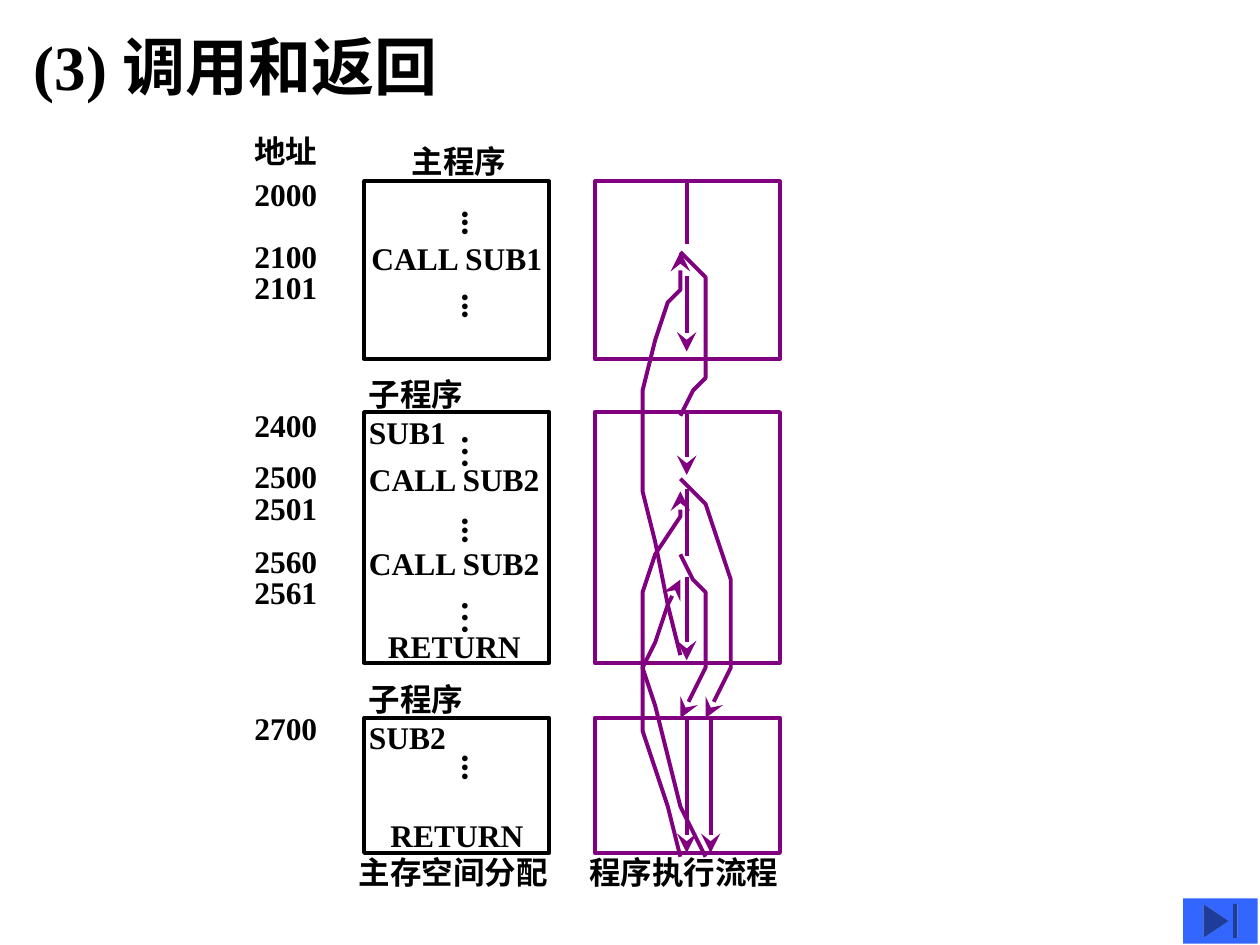
from dataclasses import dataclass

from lxml import etree
from pptx import Presentation
from pptx import util as u
from pptx.dml.color import RGBColor
from pptx.enum import shapes, text
from pptx.oxml.ns import qn


@dataclass(frozen=True)
class Theme:
    """Colours, font and type sizes of the slide."""
    ink: str = "000000"
    flow: str = "800080"
    button: str = "3366FF"
    font: str = "Times New Roman"
    title: int = 36
    body: int = 18
    dots: int = 20
    stroke: float = 2.25


class Diagram:
    """Draws on one slide, with lengths in cells of a 100 by 75 grid."""

    def __init__(self, prs, theme):
        self.theme = theme
        self.cell = prs.slide_width / 100
        self.s = prs.slides.add_slide(prs.slide_layouts[6])

    def at(self, *cells):
        return [u.Emu(round(c * self.cell)) for c in cells]

    def label(self, words, x, y, w, h=4, size=None, vertical=False, wrap=False, right=1):
        tf = self.s.shapes.add_textbox(*self.at(x, y, w, h)).text_frame
        tf.word_wrap = wrap
        tf.auto_size = text.MSO_AUTO_SIZE.NONE
        tf.margin_right = self.at(right)[0]
        if vertical:
            tf._txBody.find(qn("a:bodyPr")).set("vert", "eaVert")
        tf.text = words
        font = tf.paragraphs[0].runs[0].font
        font.name, font.bold = self.theme.font, True
        font.size = u.Pt(size or self.theme.body)
        font.color.rgb = RGBColor.from_string(self.theme.ink)

    def outline(self, sp, color, arrow=False):
        sp.line.color.rgb = RGBColor.from_string(color)
        sp.line.width = u.Pt(self.theme.stroke)
        if arrow:
            ln = sp.line._get_or_add_ln()
            etree.SubElement(ln, qn("a:tailEnd"), type="stealth", w="lg", len="lg")

    def box(self, x, y, w, h, color):
        sp = self.s.shapes.add_shape(shapes.MSO_SHAPE.RECTANGLE, *self.at(x, y, w, h))
        sp.shadow.inherit = False
        sp.fill.background()
        self.outline(sp, color)

    def stem(self, x, top, bottom, arrow=True):
        sp = self.s.shapes.add_connector(
            shapes.MSO_CONNECTOR.STRAIGHT, *self.at(x, top, x, bottom))
        self.outline(sp, self.theme.flow, arrow)
        etree.SubElement(sp._element.spPr, qn("a:effectLst"))

    def curve(self, points, arrow=True):
        start, *rest = points
        builder = self.s.shapes.build_freeform(*start, scale=self.cell)
        builder.add_line_segments(rest, close=False)
        sp = builder.convert_to_shape()
        sp.shadow.inherit = False
        sp.fill.background()
        self.outline(sp, self.theme.flow, arrow)

    def end_button(self, x, y, w, h):
        sp = self.s.shapes.add_shape(
            shapes.MSO_SHAPE.ACTION_BUTTON_END, *self.at(x, y, w, h))
        sp.shadow.inherit = False
        sp.fill.solid()
        sp.fill.fore_color.rgb = RGBColor.from_string(self.theme.button)
        sp.line.fill.background()


MAIN_X, SECOND_X = 54.5, 56.4
BLOCKS = [(14.4, 14.1), (32.7, 19.9), (57, 10.7)]
STEMS = [
    (MAIN_X, 14.4, 19.4, False), (MAIN_X, 21.9, 27.9, True),
    (MAIN_X, 32.7, 37.7, True), (MAIN_X, 38.8, 44.1, False),
    (MAIN_X, 45.8, 52.4, True), (MAIN_X, 57, 67.7, True),
    (SECOND_X, 57, 67.7, True),
]
CALL_SUB1 = [
    (54.5, 19.5), (55, 20.7), (55.6, 22.5), (56.2, 24.5), (56.4, 26.3),
    (56.3, 27.9), (55.8, 29.5), (55.2, 31.1), (54.5, 32.7)]
CALLS_SUB2 = [
    [(54.5, 37.7), (55.8, 40.4), (56.9, 43.1), (57.8, 45.7), (58.2, 48.1),
     (58.2, 50.3), (57.7, 52.6), (57.1, 54.7), (56.4, 57)],
    [(54.5, 44.1), (55.2, 45.5), (55.8, 46.9), (56.3, 48.3), (56.4, 49.9),
     (56.2, 51.4), (55.8, 53.2), (55.2, 54.9), (54.5, 57)],
]
RETURNS = [
    [(56.4, 67.7), (54.5, 63.8), (52.7, 60), (51.5, 56.2), (50.9, 53.3),
     (50.8, 50.8), (51.3, 47.4), (52.2, 44.2), (53.5, 41), (54.5, 38.8)],
    [(54.5, 67.7), (53.1, 64.5), (51.8, 61.4), (50.9, 58.4), (50.6, 55.5),
     (50.9, 53), (51.7, 50.7), (52.8, 48.5), (54.5, 45.8)],
    [(54.5, 52.4), (53.1, 47.9), (51.8, 43.3), (50.9, 38.9), (50.6, 34.8),
     (50.7, 32.8), (51, 30.9), (52.1, 27.1), (53, 24.5), (53.6, 22.9),
     (54.5, 20.5)],
]
ADDRESSES = {
    "地址": 10, "2000": 13.4, "2100": 18.3, "2101": 20.8, "2400": 31.7,
    "2500": 35.8, "2501": 38.3, "2560": 42.5, "2561": 45, "2700": 55.8}
DOTS = [("...", 15.7), ("...", 22.3), ("…", 33.5), ("...", 40.1), ("…", 46.7), ("...", 58.9)]
LABELS = [
    ("CALL SUB1", 28.5, 18.5, 15.7), ("CALL SUB2", 28.3, 36, 15.7),
    ("CALL SUB2", 28.3, 42.7, 15.7), ("RETURN", 29.8, 49.3, 12.6),
    ("RETURN", 30, 64.3, 12.6), ("主程序", 31.7, 10.8, 9.6),
    ("主存空间分配", 27.5, 67.2, 17.1), ("程序执行流程", 45.8, 67.2, 17.1),
]


def main():
    """Build the call and return slide."""
    prs = Presentation()
    prs.slide_width, prs.slide_height = u.Inches(10), u.Inches(7.5)
    theme = Theme()
    d = Diagram(prs, theme)
    d.label("(3) 调用和返回", 1.7, 1.7, 57, 7, theme.title, wrap=True)
    for points in CALLS_SUB2 + RETURNS:
        d.curve(points)
    d.curve(CALL_SUB1, arrow=False)
    for stem in STEMS:
        d.stem(*stem)
    for x, color in ((28.9, theme.ink), (47.2, theme.flow)):
        for top, height in BLOCKS:
            d.box(x, top, 14.7, height, color)
    for words, y in ADDRESSES.items():
        d.label(words, 19.2, y, 7)
    for words, y in DOTS:
        d.label(words, 34.7, y, 5.3, 3.1 if words == "..." else 3.8, theme.dots, vertical=True)
    for label in LABELS:
        d.label(*label)
    for words, y in (("子程序SUB1", 29.3), ("子程序SUB2", 53.5)):
        d.label(words, 28.3, y, 15.7, wrap=True, right=4)
    d.end_button(93.9, 71.3, 5.9, 3.6)
    prs.save("out.pptx")


main()
